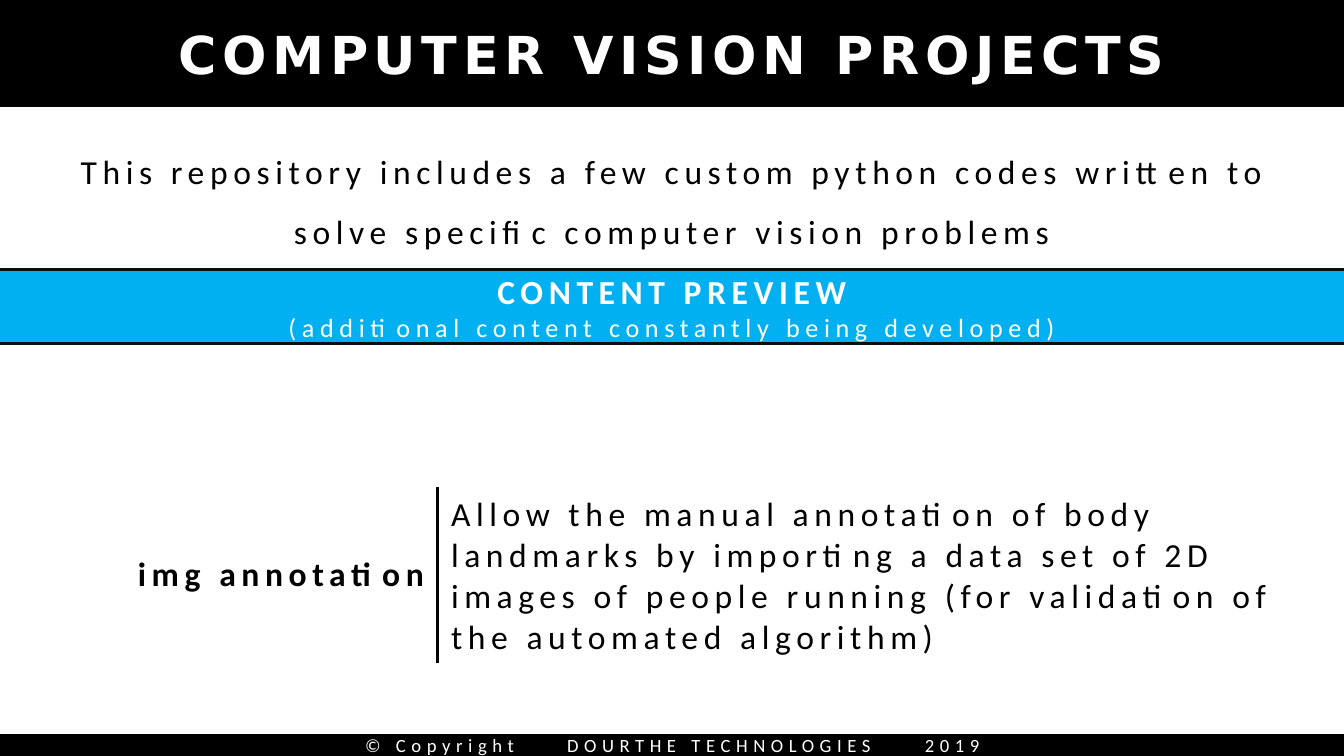
"""Build the computer vision projects slide."""
from dataclasses import dataclass

from lxml.etree import SubElement
from pptx import Presentation
from pptx.dml.color import RGBColor
from pptx.enum.shapes import MSO_SHAPE
from pptx.enum.text import MSO_ANCHOR, MSO_AUTO_SIZE, PP_ALIGN
from pptx.oxml.ns import qn
from pptx.util import Cm, Pt


@dataclass(frozen=True)
class Theme:
    black: RGBColor = RGBColor(0, 0, 0)
    white: RGBColor = RGBColor(255, 255, 255)
    blue: RGBColor = RGBColor(0x00, 0xB0, 0xF0)
    outline: RGBColor = RGBColor(0x0D, 0x0D, 0x0D)
    title_font: str = "DejaVu Sans"
    body_font: str = "Calibri"
    title_size: int = 28
    body_size: int = 18
    note_size: int = 14
    footer_size: int = 10
    tracking: int = 3


theme = Theme()


def write(frame, text, size=theme.body_size, font=theme.body_font, color=theme.black,
          bold=False, align=PP_ALIGN.CENTER, line_spacing=None):
    para = frame.paragraphs[0]
    if para.runs:
        para = frame.add_paragraph()
    para.alignment = align
    if line_spacing:
        para.line_spacing = line_spacing
    span = para.add_run()
    span.text = text
    span.font.size = Pt(size)
    span.font.name = font
    span.font.bold = bold
    span.font.color.rgb = color
    span.font._element.set("spc", str(theme.tracking * 100))
    return para


def paint(shape, fill, line, width):
    shape.fill.solid()
    shape.fill.fore_color.rgb = fill
    shape.line.color.rgb = line
    shape.line.width = Pt(width)
    shape.text_frame.word_wrap = True
    shape.text_frame.vertical_anchor = MSO_ANCHOR.MIDDLE


deck = Presentation()
deck.slide_width, deck.slide_height = Cm(25.4), Cm(14.29)
page = deck.slides.add_slide(deck.slide_layouts[5])

title = page.shapes.title
title.left, title.top, title.width, title.height = Cm(0), Cm(0), deck.slide_width, Cm(2.01)
paint(title, theme.black, theme.black, 1)
title.text_frame.auto_size = MSO_AUTO_SIZE.NONE
write(title.text_frame, "COMPUTER VISION PROJECTS", size=theme.title_size,
      font=theme.title_font, color=theme.white, bold=True)

intro = page.shapes.add_textbox(Cm(0), Cm(2.34), deck.slide_width, Cm(2.44)).text_frame
intro.word_wrap = True
intro.auto_size = MSO_AUTO_SIZE.SHAPE_TO_FIT_TEXT
for sentence in ("This repository includes a few custom python codes written to",
                 "solve specific computer vision problems"):
    write(intro, sentence, line_spacing=1.5)

table_frame = page.shapes.add_table(1, 2, Cm(-0.03), Cm(9.22), Cm(25.4), Cm(1.4))
table = table_frame.table
table.first_row = table.horz_banding = False
project_cells = (
    ("img annotation", 8.3, True, PP_ALIGN.RIGHT, "a:lnR"),
    ("Allow the manual annotation of body landmarks by importing a data set of 2D images "
     "of people running (for validation of the automated algorithm)",
     17.1, False, PP_ALIGN.LEFT, "a:lnL"),
)
for index, (text, width, bold, align, edge) in enumerate(project_cells):
    table.columns[index].width = Cm(width)
    cell = table.cell(0, index)
    cell.vertical_anchor = MSO_ANCHOR.MIDDLE
    write(cell.text_frame, text, bold=bold, align=align)
    properties = cell._tc.get_or_add_tcPr()
    border = SubElement(properties, qn(edge), w=str(Pt(2.25)))
    border_fill = SubElement(border, qn("a:solidFill"))
    SubElement(border_fill, qn("a:srgbClr"), val=str(theme.black))
    cell.fill.background()

preview = page.shapes.add_shape(MSO_SHAPE.RECTANGLE, Cm(-0.3), Cm(5.1), Cm(26), Cm(1.4))
preview.shadow.inherit = False
paint(preview, theme.blue, theme.outline, 1.5)
write(preview.text_frame, "CONTENT PREVIEW", color=theme.white, bold=True)
write(preview.text_frame, "(additional content constantly being developed)",
      size=theme.note_size, color=theme.white)

footer = page.shapes.add_shape(MSO_SHAPE.RECTANGLE, Cm(0), Cm(13.89), deck.slide_width, Cm(0.4))
footer.shadow.inherit = False
paint(footer, theme.black, theme.black, 1)
footer.text_frame.margin_left = Cm(6.9)
copyright_line = write(footer.text_frame, "© Copyright\tDOURTHE TECHNOLOGIES\t2019",
                       size=theme.footer_size, color=theme.white, align=PP_ALIGN.LEFT)
tab_list = SubElement(copyright_line._p.get_or_add_pPr(), qn("a:tabLst"))
for position in (3.82, 10.58):
    SubElement(tab_list, qn("a:tab"), pos=str(Cm(position)), algn="l")

deck.save("out.pptx")
